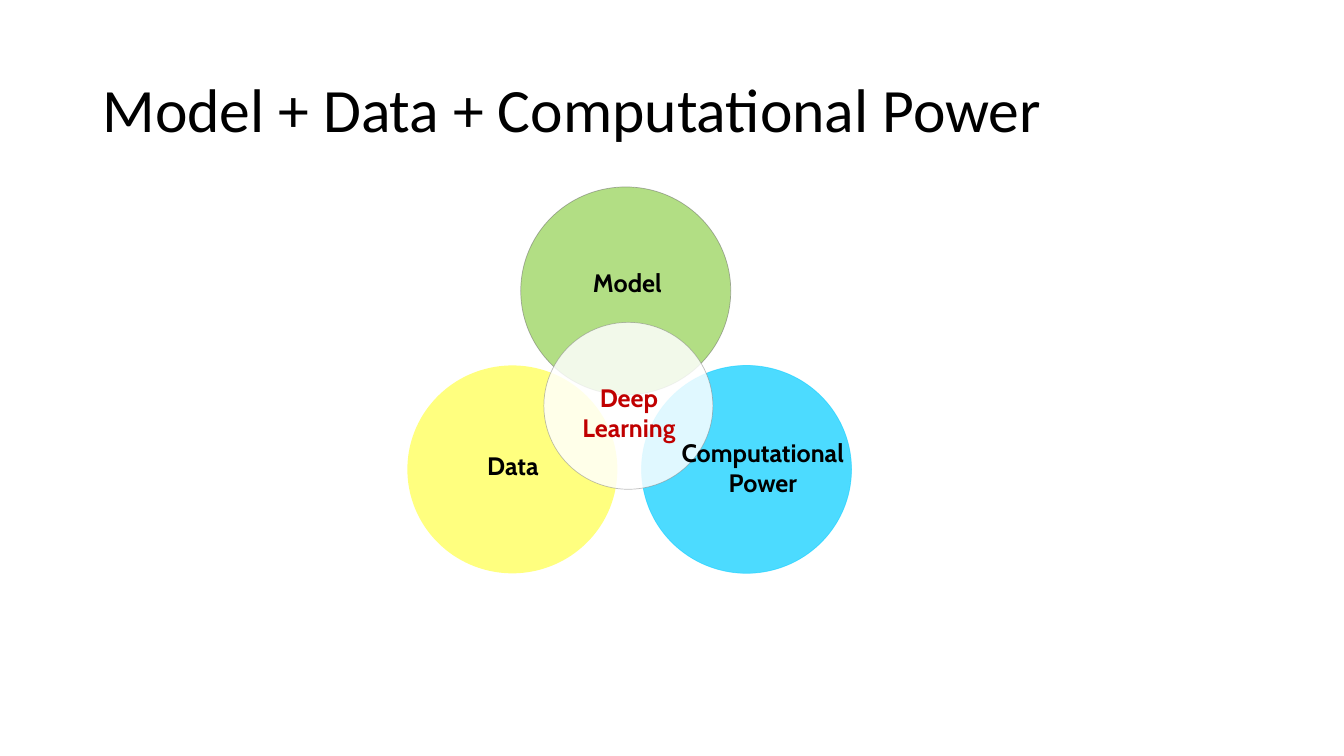
"""Build the slide showing deep learning where model, data and computational power meet."""
from dataclasses import dataclass
from typing import Optional

from lxml.etree import SubElement
from pptx import Presentation
from pptx.dml.color import RGBColor
from pptx.dml.fill import FillFormat
from pptx.enum.shapes import MSO_SHAPE as Preset
from pptx.enum.text import MSO_ANCHOR as Anchor, MSO_AUTO_SIZE as AutoSize, PP_ALIGN as Align
from pptx.oxml.ns import qn
from pptx.slide import Slide
from pptx.text.text import TextFrame
from pptx.util import Pt

PX = 9525
BLACK = RGBColor(0x00, 0x00, 0x00)
WHITE = RGBColor(0xFF, 0xFF, 0xFF)
CYAN = RGBColor(0x00, 0xCC, 0xFF)
GREEN = RGBColor(0x92, 0xD0, 0x50)
YELLOW = RGBColor(0xFF, 0xFF, 0x00)
RED = RGBColor(0xC0, 0x00, 0x00)
DARK_GRAY = RGBColor(0x66, 0x66, 0x66)
GRAY = RGBColor(0x80, 0x80, 0x80)

TITLE_FORMAT = {"name": "Calibri", "size": Pt(44), "bold": False}
LABEL_FORMAT = {"name": "Cabin", "size": Pt(18), "bold": True}


@dataclass(frozen=True)
class Box:
    left: int
    top: int
    width: int
    height: int

    def emu(self) -> tuple[int, ...]:
        return tuple(side * PX for side in (self.left, self.top, self.width, self.height))


@dataclass(frozen=True)
class Circle:
    box: Box
    color: RGBColor
    opacity: int
    outline: Optional[RGBColor] = None


@dataclass(frozen=True)
class Label:
    text: str
    box: Box
    color: RGBColor = BLACK


CIRCLES = [
    Circle(Box(611, 348, 200, 198), CYAN, 70, CYAN),
    Circle(Box(496, 178, 200, 198), GREEN, 70, DARK_GRAY),
    Circle(Box(388, 348, 200, 198), YELLOW, 50),
    Circle(Box(518, 307, 161, 159), WHITE, 83, GRAY),
]
LABELS = [
    Label("Data", Box(392, 415, 193, 57)),
    Label("Deep Learning", Box(527, 363, 144, 60), RED),
    Label("Computational Power", Box(618, 417, 217, 57)),
    Label("Model", Box(522, 238, 151, 62)),
]
TITLE = Label("Model + Data + Computational Power", Box(88, 38, 1104, 139))


def paint(fill: FillFormat, color: RGBColor, opacity: int) -> None:
    fill.solid()
    fill.fore_color.rgb = color
    color_element = fill._xPr.find(qn("a:solidFill"))[0]
    SubElement(color_element, qn("a:alpha"), val=str(opacity * 1000))


def write(frame: TextFrame, label: Label, font_format: dict, align: Align) -> None:
    frame.word_wrap = True
    frame.auto_size = AutoSize.NONE
    frame.vertical_anchor = Anchor.MIDDLE
    paragraph = frame.paragraphs[0]
    paragraph.alignment = align
    run = paragraph.add_run()
    run.text = label.text
    run.font.color.rgb = label.color
    for attribute, value in font_format.items():
        setattr(run.font, attribute, value)


def draw_title(slide: Slide, label: Label) -> None:
    title = slide.shapes.title
    title.left, title.top, title.width, title.height = label.box.emu()
    write(title.text_frame, label, TITLE_FORMAT, Align.LEFT)
    title.text_frame.paragraphs[0].line_spacing = 0.9


def draw_circle(slide: Slide, circle: Circle) -> None:
    disc = slide.shapes.add_shape(Preset.OVAL, *circle.box.emu())
    disc.shadow.inherit = False
    paint(disc.fill, circle.color, circle.opacity)
    if circle.outline is None:
        disc.line.fill.background()
    else:
        disc.line.width = Pt(0.5)
        paint(disc.line.fill, circle.outline, 50)


def draw_label(slide: Slide, label: Label) -> None:
    caption = slide.shapes.add_textbox(*label.box.emu())
    write(caption.text_frame, label, LABEL_FORMAT, Align.CENTER)


def main() -> None:
    deck = Presentation()
    deck.slide_width, deck.slide_height = 1280 * PX, 720 * PX
    slide = deck.slides.add_slide(deck.slide_layouts.get_by_name("Title Only"))
    draw_title(slide, TITLE)
    for circle in CIRCLES:
        draw_circle(slide, circle)
    for label in LABELS:
        draw_label(slide, label)
    deck.save("out.pptx")


if __name__ == "__main__":
    main()
